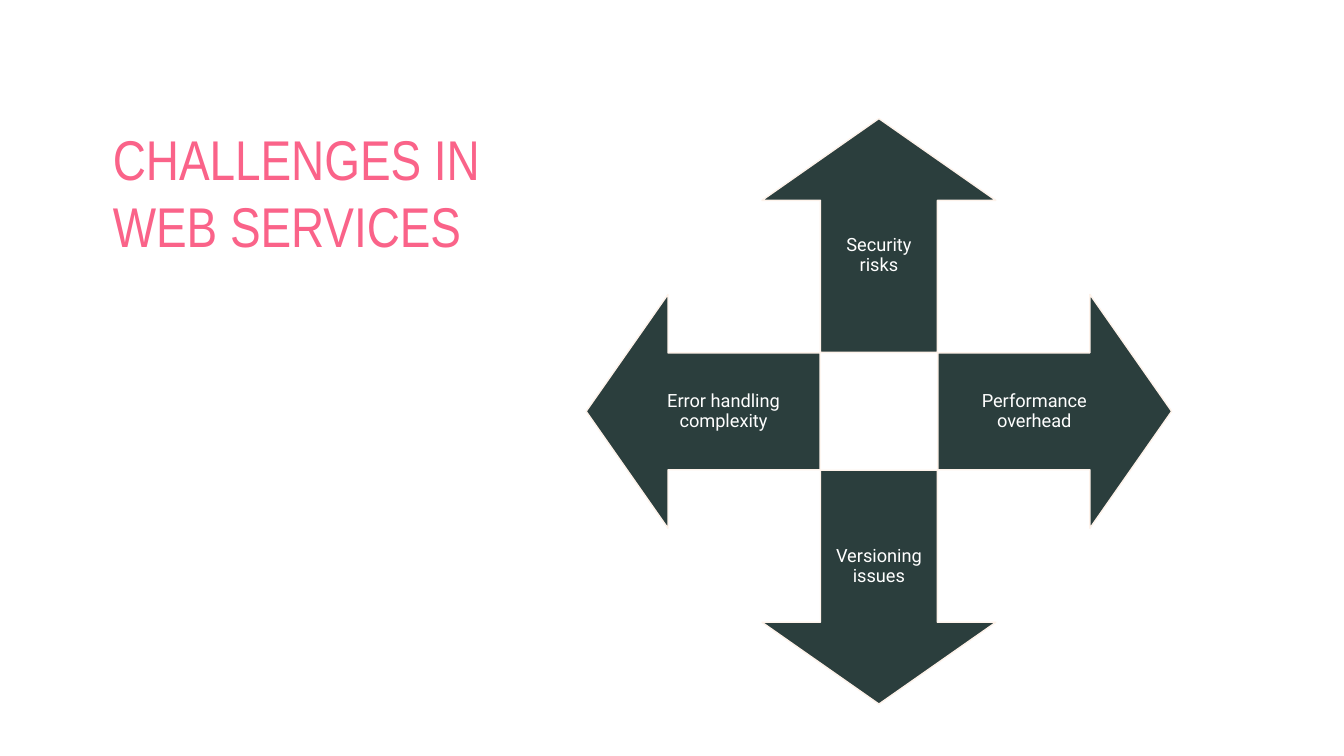
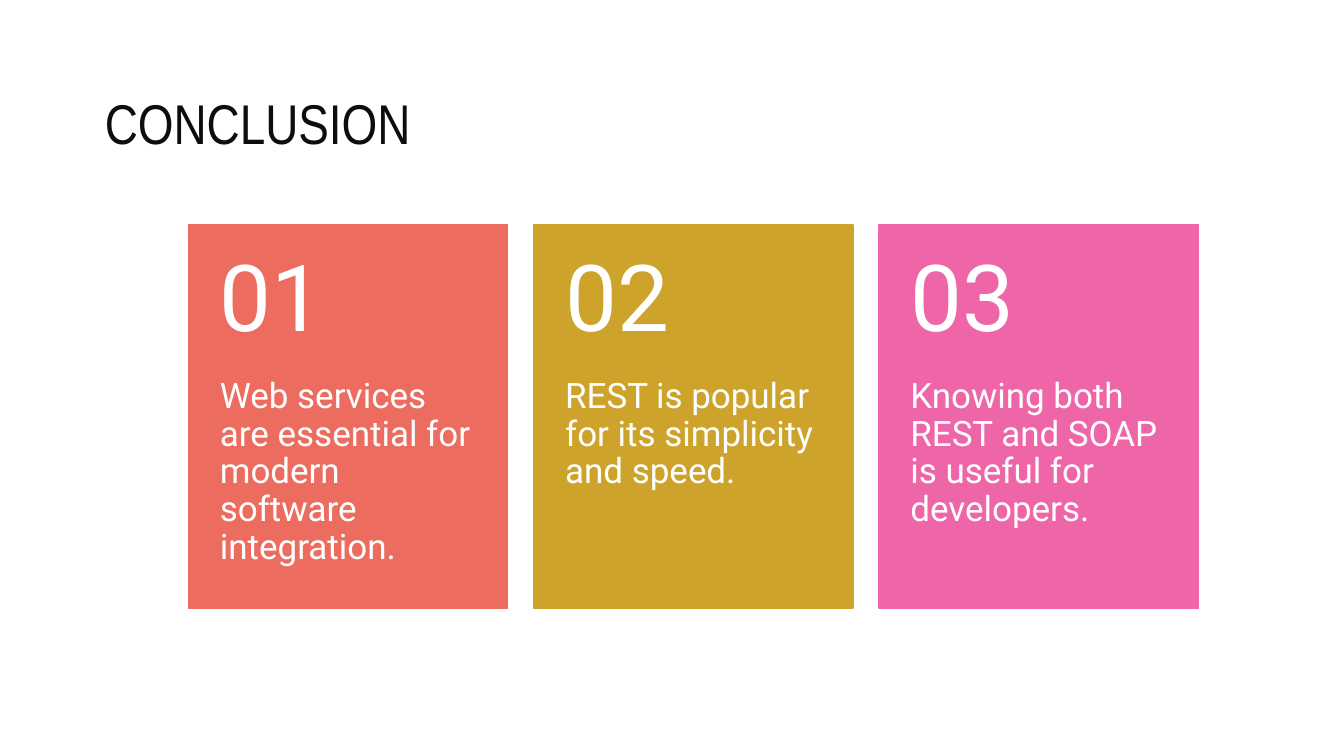
"""Build two slides: challenges in web services and the conclusion."""
from dataclasses import dataclass

from pptx import Presentation
from pptx.dml.color import RGBColor
from pptx.enum.shapes import MSO_SHAPE
from pptx.enum.text import MSO_ANCHOR, MSO_AUTO_SIZE, PP_ALIGN
from pptx.util import Pt

TOP, MIDDLE = MSO_ANCHOR.TOP, MSO_ANCHOR.MIDDLE
LEFT, CENTER = PP_ALIGN.LEFT, PP_ALIGN.CENTER
UP_ARROW, RECTANGLE = MSO_SHAPE.UP_ARROW, MSO_SHAPE.RECTANGLE
NO_AUTOFIT = MSO_AUTO_SIZE.NONE
TITLE_ONLY = 5


@dataclass(frozen=True)
class Theme:
    title_font: str = "Arial Narrow"
    body_font: str = "Roboto"
    title_size: float = 40
    label_size: float = 13
    number_size: float = 66
    card_size: float = 25
    pink: str = "FA6389"
    ink: str = "0D0D0D"
    white: str = "FFFFFF"
    arrow_fill: str = "2B3E3D"
    arrow_line: str = "FEF3EB"
    cards: tuple = ("EC6D60", "CDA32B", "EE66A7")


theme = Theme()


def write_text(shape, text, box, size, color=theme.white, font=theme.body_font,
               align=LEFT, anchor=TOP, margins=(7.2, 3.6, 7.2, 3.6), spacing=0.9):
    shape.left, shape.top, shape.width, shape.height = map(Pt, box)
    frame = shape.text_frame
    frame.word_wrap = True
    frame.auto_size = NO_AUTOFIT
    frame.vertical_anchor = anchor
    (frame.margin_left, frame.margin_top,
     frame.margin_right, frame.margin_bottom) = map(Pt, margins)
    paragraph = frame.paragraphs[0]
    paragraph.text = text
    paragraph.alignment = align
    paragraph.line_spacing = spacing
    paragraph.font.size = Pt(size)
    paragraph.font.name = font
    paragraph.font.color.rgb = RGBColor.from_string(color)


def add_block(slide, preset, box, fill, line):
    shape = slide.shapes.add_shape(preset, *map(Pt, box))
    shape.shadow.inherit = False
    shape.fill.solid()
    shape.fill.fore_color.rgb = RGBColor.from_string(fill)
    shape.line.color.rgb = RGBColor.from_string(line)
    shape.line.width = Pt(1)
    return shape


presentation = Presentation()
presentation.slide_width, presentation.slide_height = Pt(960), Pt(540)

slides = []
for title, box, color in (
    ("CHALLENGES IN WEB SERVICES", (73.4, 85, 294.5, 104.4), theme.pink),
    ("CONCLUSION", (67.7, 59.8, 277.9, 55.4), theme.ink),
):
    slide = presentation.slides.add_slide(presentation.slide_layouts[TITLE_ONLY])
    write_text(slide.shapes.title, title, box, theme.title_size, color,
               theme.title_font, spacing=1.0)
    slides.append(slide)
challenges, conclusion = slides

center_x, center_y = 627.8, 293.8
arrow_size, arrow_offset, head_ratio = 167, 125.6, 0.35
shaft_width = arrow_size / 2
label_length = arrow_size * (1 - head_ratio / 2)
label_offset = arrow_offset - (arrow_size - label_length) / 2

for index, (label, step_x, step_y) in enumerate((
    ("Security risks", 0, -1),
    ("Performance overhead", 1, 0),
    ("Versioning issues", 0, 1),
    ("Error handling complexity", -1, 0),
)):
    arrow_box = (center_x + step_x * arrow_offset - arrow_size / 2,
                 center_y + step_y * arrow_offset - arrow_size / 2,
                 arrow_size, arrow_size)
    arrow = add_block(challenges, UP_ARROW, arrow_box, theme.arrow_fill, theme.arrow_line)
    arrow.adjustments[0], arrow.adjustments[1] = 0.5, head_ratio
    arrow.rotation = 90 * index

    width, height = (label_length, shaft_width) if step_x else (shaft_width, label_length)
    label_box = (center_x + step_x * label_offset - width / 2,
                 center_y + step_y * label_offset - height / 2, width, height)
    write_text(challenges.shapes.add_textbox(0, 0, 0, 0), label, label_box,
               theme.label_size, align=CENTER, anchor=MIDDLE, margins=(7.2,) * 4)

card_left, card_top, card_pitch = 134.6, 160.6, 246.6
card_width, card_height = 228.2, 273.6
number_height = card_height * 0.4

for index, (text, color) in enumerate(zip((
    "Web services are essential for modern software integration.",
    "REST is popular for its simplicity and speed.",
    "Knowing both REST and SOAP is useful for developers.",
), theme.cards)):
    left = card_left + index * card_pitch
    add_block(conclusion, RECTANGLE, (left, card_top, card_width, card_height), color, color)
    write_text(conclusion.shapes.add_textbox(0, 0, 0, 0), text,
               (left, card_top + number_height, card_width, card_height - number_height),
               theme.card_size, margins=(22.5, 0, 22.5, 26))
    write_text(conclusion.shapes.add_textbox(0, 0, 0, 0), f"{index + 1:02}",
               (left, card_top, card_width, number_height),
               theme.number_size, anchor=MIDDLE, margins=(22.5, 13, 22.5, 13))

presentation.save("out.pptx")
